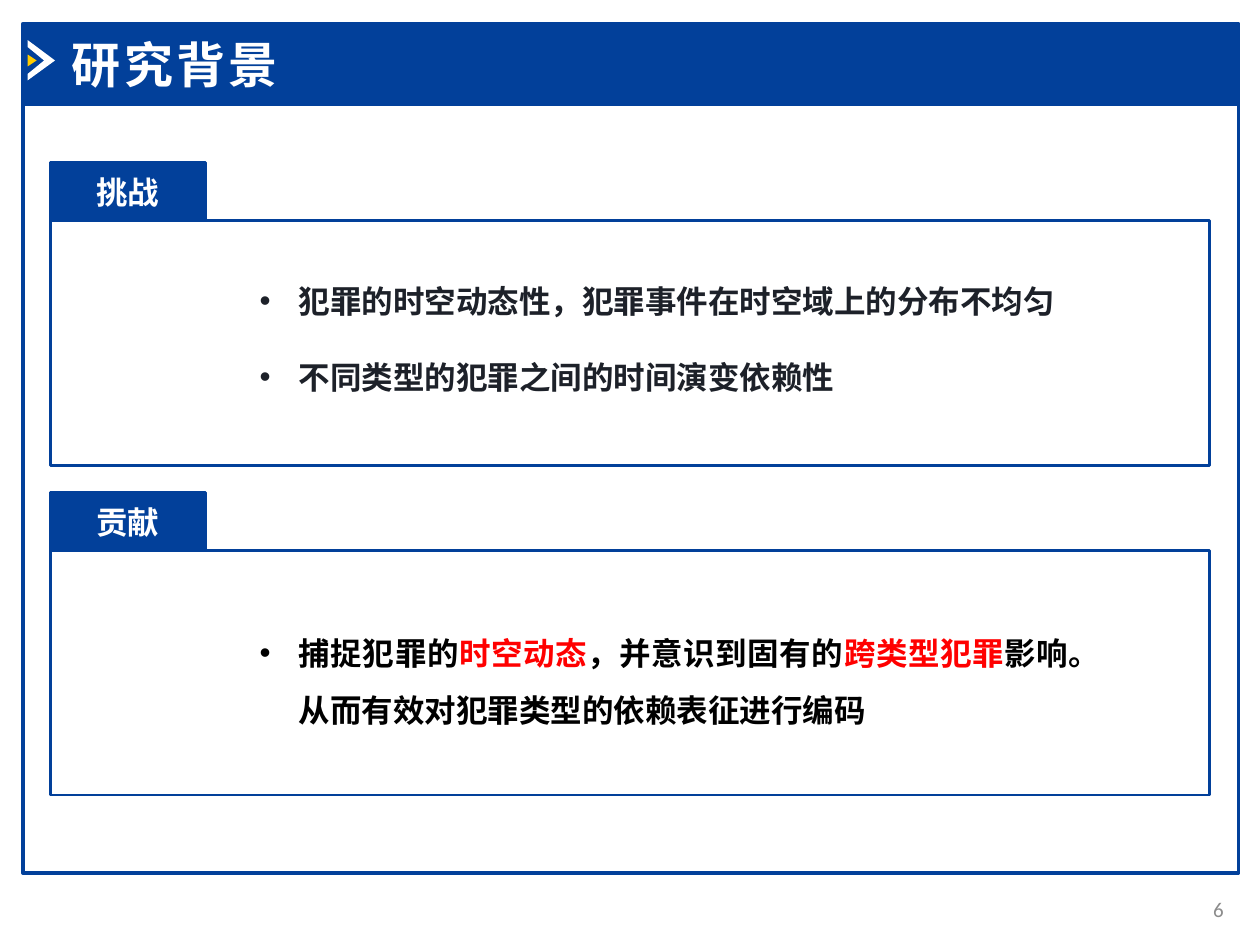
from dataclasses import dataclass

from lxml import etree
from pptx import Presentation
from pptx.dml.color import RGBColor
from pptx.enum.lang import MSO_LANGUAGE_ID
from pptx.enum.shapes import MSO_SHAPE
from pptx.enum.text import MSO_ANCHOR, MSO_AUTO_SIZE, PP_ALIGN
from pptx.oxml.ns import qn
from pptx.util import Cm, Pt

RECTANGLE = MSO_SHAPE.RECTANGLE
TOP, MIDDLE = MSO_ANCHOR.TOP, MSO_ANCHOR.MIDDLE
LEFT, CENTER, RIGHT, JUSTIFY = PP_ALIGN.LEFT, PP_ALIGN.CENTER, PP_ALIGN.RIGHT, PP_ALIGN.JUSTIFY
CHINESE = MSO_LANGUAGE_ID.SIMPLIFIED_CHINESE
FIXED_SIZE = MSO_AUTO_SIZE.NONE

BLUE, WHITE, YELLOW = "02409A", "FFFFFF", "FFCC00"
INK, BLACK, RED, GRAY = "1D2129", "000000", "FF0000", "8C8C8C"
LATIN, HAN = "Calibri", "Noto Sans CJK SC"
HANGING = 0.79


@dataclass
class Box:
    left: float
    top: float
    width: float
    height: float

    def lengths(self):
        return Cm(self.left), Cm(self.top), Cm(self.width), Cm(self.height)


@dataclass
class Phrase:
    text: str
    color: str
    font: str = LATIN


@dataclass
class Section:
    label: str
    top: float
    body: Box
    bullets: list[list[Phrase]]
    margin: float
    align: PP_ALIGN
    line_spacing: float
    gap: float = 0


SECTIONS = [
    Section("挑战", 3.28, Box(4.98, 5.56, 16.81, 2.57), [
        [Phrase("犯罪的时空动态性，犯罪事件在时空域上的分布不均匀", INK, HAN)],
        [Phrase("不同类型的犯罪之间的时间演变依赖性", INK, HAN)],
    ], HANGING, LEFT, 1, 21.7),
    Section("贡献", 9.93, Box(3.71, 12.27, 18.08, 2.44), [[
        Phrase("捕捉犯罪的", BLACK),
        Phrase("时空动态", RED),
        Phrase("，并意识到固有的", BLACK),
        Phrase("跨类型犯罪", RED),
        Phrase("影响。", BLACK),
        Phrase("从而有效对犯罪类型的依赖表征进行编码", BLACK, HAN),
    ]], 2.06, JUSTIFY, 1.5),
]
CHEVRON = [(0.56, 0.81), (1.11, 1.22), (0.56, 1.62), (0.56, 1.49), (0.89, 1.22), (0.56, 0.95)]
ARROW_CORE = [(0.56, 1.1), (0.74, 1.22), (0.56, 1.34)]


def rgb(color: str) -> RGBColor:
    return RGBColor.from_string(color)


def style_run(run, size: float, color: str, font: str = LATIN, bold: bool = True) -> None:
    run.font.size = Pt(size)
    run.font.name = font
    run.font.bold = bold
    run.font.color.rgb = rgb(color)
    run.font.language_id = CHINESE


def set_line(frame, text: str, size: float, color: str, align, anchor, bold: bool = True):
    frame.text = text
    frame.word_wrap = True
    frame.auto_size = FIXED_SIZE
    frame.vertical_anchor = anchor
    paragraph = frame.paragraphs[0]
    paragraph.alignment = align
    style_run(paragraph.runs[0], size, color, bold=bold)
    return paragraph.runs[0]


def draw_rectangle(shapes, box: Box, line_width: float, fill: str | None = None):
    rectangle = shapes.add_shape(RECTANGLE, *box.lengths())
    rectangle.shadow.inherit = False
    if fill:
        rectangle.fill.solid()
        rectangle.fill.fore_color.rgb = rgb(fill)
    else:
        rectangle.fill.background()
    rectangle.line.color.rgb = rgb(BLUE)
    rectangle.line.width = Pt(line_width)
    return rectangle


def draw_polygon(shapes, points: list[tuple[float, float]], fill: str) -> None:
    corners = [(Cm(x), Cm(y)) for x, y in points]
    builder = shapes.build_freeform(*corners[0])
    builder.add_line_segments(corners[1:], close=True)
    polygon = builder.convert_to_shape()
    polygon.shadow.inherit = False
    polygon.fill.solid()
    polygon.fill.fore_color.rgb = rgb(fill)
    polygon.line.fill.background()


def place_on_top(shapes, placeholder, box: Box) -> None:
    placeholder.left, placeholder.top, placeholder.width, placeholder.height = box.lengths()
    shapes._spTree.append(placeholder._element)


def add_bullet(paragraph, margin: float) -> None:
    properties = paragraph._p.get_or_add_pPr()
    properties.set("marL", str(Cm(margin)))
    properties.set("indent", str(-Cm(HANGING)))
    etree.SubElement(properties, qn("a:buFont")).set("typeface", "Arial")
    etree.SubElement(properties, qn("a:buChar")).set("char", "•")


def draw_section(shapes, section: Section, body) -> None:
    tab = Box(1.02, section.top, 3.12, 1.17)
    draw_rectangle(shapes, Box(tab.left, tab.top + tab.height, 23.36, 4.93), 1.5)
    label = draw_rectangle(shapes, tab, 1.5, BLUE)
    set_line(label.text_frame, section.label, 18, WHITE, CENTER, MIDDLE)

    place_on_top(shapes, body, section.body)
    frame = body.text_frame
    frame.word_wrap = True
    frame.auto_size = FIXED_SIZE
    frame.vertical_anchor = TOP
    for index, phrases in enumerate(section.bullets):
        paragraph = frame.add_paragraph() if index else frame.paragraphs[0]
        add_bullet(paragraph, section.margin)
        paragraph.alignment = section.align
        paragraph.line_spacing = section.line_spacing
        paragraph.space_before = Pt(section.gap if index else 0)
        for phrase in phrases:
            run = paragraph.add_run()
            run.text = phrase.text
            style_run(run, 18, phrase.color, phrase.font)


def main() -> None:
    presentation = Presentation()
    presentation.slide_width, presentation.slide_height = Cm(25.4), Cm(19.05)
    slide = presentation.slides.add_slide(presentation.slide_layouts[3])
    shapes = slide.shapes
    title, *bodies = list(slide.placeholders)

    draw_rectangle(shapes, Box(0.46, 2.11, 24.51, 15.49), 2)
    draw_rectangle(shapes, Box(0.46, 0.48, 24.51, 1.63), 2, BLUE)
    draw_polygon(shapes, CHEVRON, WHITE)
    draw_polygon(shapes, ARROW_CORE, YELLOW)

    place_on_top(shapes, title, Box(1.19, 0.56, 9.04, 1.45))
    heading = set_line(title.text_frame, "研究背景", 28, WHITE, LEFT, TOP)
    heading.font._element.set("spc", "200")

    for section, body in zip(SECTIONS, bodies):
        draw_section(shapes, section, body)

    page_number = shapes.add_textbox(*Box(23.42, 17.81, 1.5, 1.02).lengths())
    set_line(page_number.text_frame, "6", 12, GRAY, RIGHT, MIDDLE, bold=False)

    presentation.save("out.pptx")


if __name__ == "__main__":
    main()
